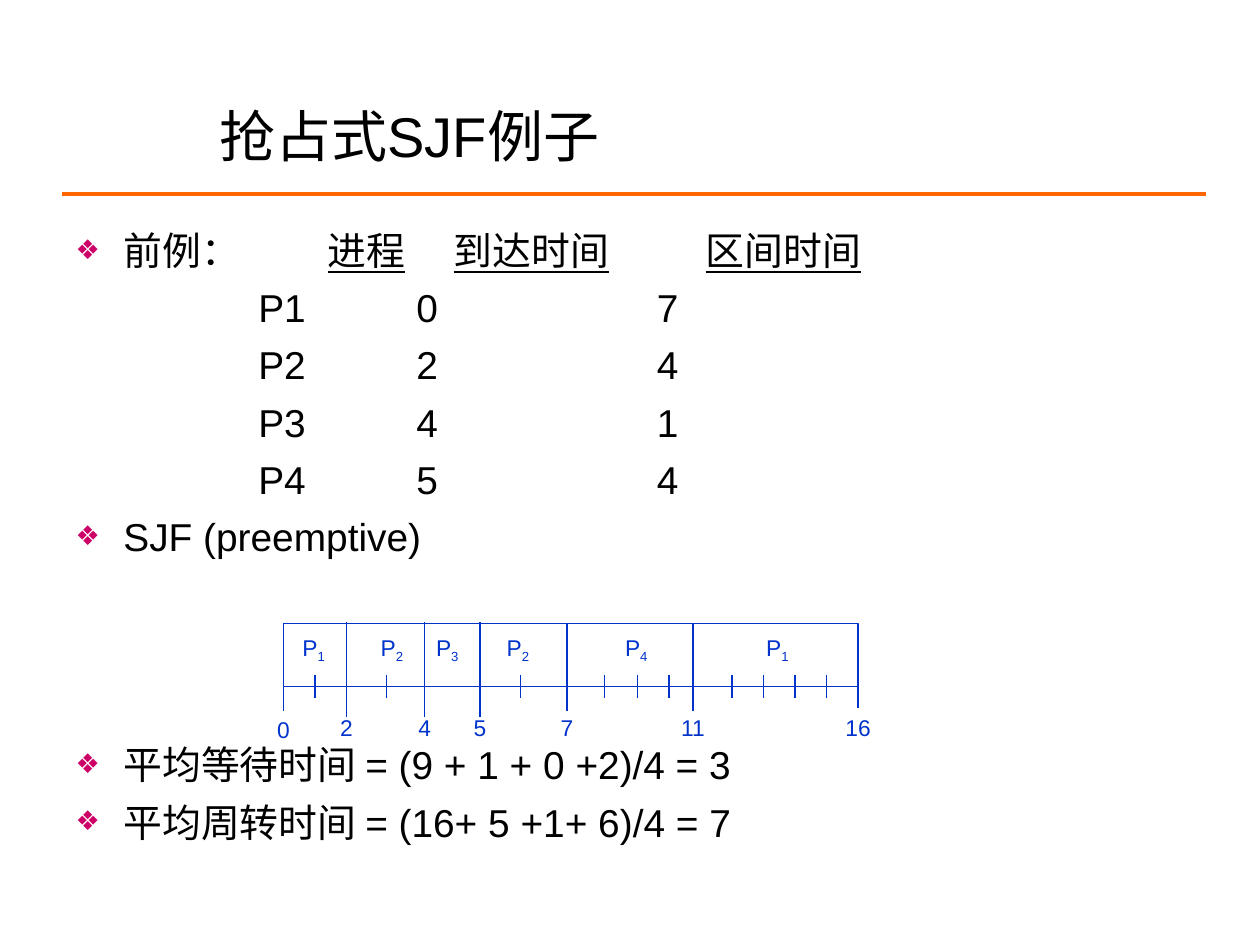
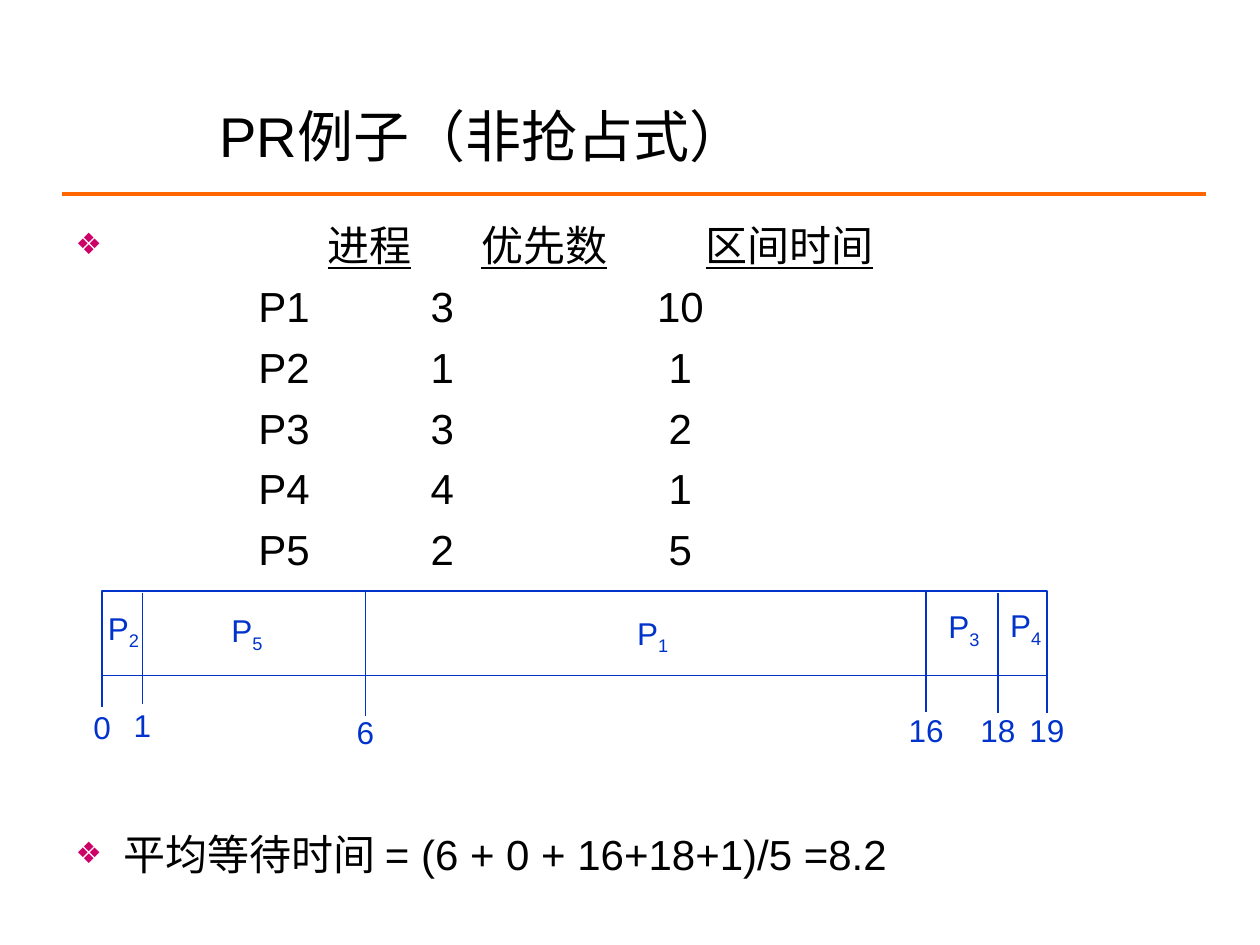
from dataclasses import dataclass

from lxml.etree import SubElement
from pptx import Presentation
from pptx.dml.color import RGBColor
from pptx.enum.shapes import MSO_CONNECTOR, MSO_SHAPE
from pptx.enum.text import MSO_ANCHOR, MSO_AUTO_SIZE, PP_ALIGN
from pptx.oxml.ns import qn
from pptx.util import Inches, Pt

FONT = "Arial"
BLACK, WHITE, ORANGE, BLUE, MAGENTA = "000000", "FFFFFF", "FF6600", "0033CC", "CC0066"
DIAMOND, BLANK = "❖", " "
HANG = 0.38
LINE_HEIGHT = 1.2
PARAGRAPH_GAP = 6


@dataclass(frozen=True)
class Stop:
    """A tab stop, in inches from the left edge of the text."""
    at: float
    align: str = "l"


@dataclass(frozen=True)
class Item:
    """A bulleted line that follows a number of free lines."""
    text: str
    free_lines: int = 0


@dataclass(frozen=True)
class ProcessList:
    """The processes with their heading, and the items below."""
    top: float
    height: float
    size: float
    lead: str
    headings: tuple[str, ...]
    heading_stops: tuple[Stop, ...]
    rows: tuple[tuple[str, ...], ...]
    row_stops: tuple[Stop, ...]
    items: tuple[Item, ...]


@dataclass(frozen=True)
class Instant:
    """A time at which the running process changes."""
    time: int
    x: float
    top: float
    bottom: float
    label_y: float
    split: bool = False


@dataclass(frozen=True)
class Burst:
    """The label of a process in the Gantt chart, by its centre."""
    process: int
    x: float
    y: float


@dataclass(frozen=True)
class Gantt:
    """A Gantt chart: a bar, its bursts, instants and unit ticks."""
    left: float
    top: float
    width: float
    height: float
    size: float
    bursts: tuple[Burst, ...]
    instants: tuple[Instant, ...]
    ticks: tuple[float, ...] = ()


@dataclass(frozen=True)
class Example:
    """The content of one slide."""
    title: str
    processes: ProcessList
    gantt: Gantt


EXAMPLES = (
    Example(
        "抢占式SJF例子",
        ProcessList(
            1.75, 4.95, 22.2, "前例：",
            ("进程", "到达时间", "区间时间"),
            (Stop(2), Stop(3), Stop(5)),
            (("P1", "0", "7"), ("P2", "2", "4"), ("P3", "4", "1"), ("P4", "5", "4")),
            (Stop(1.45), Stop(2.79, "ctr"), Stop(4.7, "ctr")),
            (
                Item("SJF (preemptive)"),
                Item("平均等待时间 = (9 + 1 + 0 +2)/4 = 3", free_lines=3),
                Item("平均周转时间 = (16+ 5 +1+ 6)/4 = 7"),
            ),
        ),
        Gantt(
            2.25, 4.95, 4.56, 0.5, 13,
            tuple(
                Burst(process, x, 5.15)
                for process, x in ((1, 2.49), (2, 3.11), (3, 3.55), (2, 4.11), (4, 5.05), (1, 6.17))
            ),
            (
                Instant(0, 2.25, 5.45, 5.64, 5.79),
                Instant(2, 2.75, 4.94, 5.69, 5.77),
                Instant(4, 3.37, 4.94, 5.69, 5.77),
                Instant(5, 3.81, 4.94, 5.69, 5.77),
                Instant(7, 4.5, 4.95, 5.64, 5.77, split=True),
                Instant(11, 5.5, 4.95, 5.64, 5.77, split=True),
                Instant(16, 6.81, 5.44, 5.62, 5.77),
            ),
            (2.5, 3.07, 4.13, 4.8, 5.06, 5.31, 5.81, 6.06, 6.31, 6.56),
        ),
    ),
    Example(
        "PR例子（非抢占式）",
        ProcessList(
            1.69, 5.46, 24, "",
            ("进程", "优先数", "区间时间"),
            (Stop(2), Stop(3.22), Stop(5)),
            (
                ("P1", "3", "10"), ("P2", "1", "1"), ("P3", "3", "2"),
                ("P4", "4", "1"), ("P5", "2", "5"),
            ),
            (Stop(1.45), Stop(2.91, "ctr"), Stop(4.8, "ctr")),
            (Item("平均等待时间 = (6 + 0 + 16+18+1)/5 =8.2", free_lines=4),),
        ),
        Gantt(
            0.81, 4.69, 7.5, 0.67, 18,
            (
                Burst(2, 0.98, 5), Burst(5, 1.96, 5.02), Burst(1, 5.18, 5.04),
                Burst(3, 7.65, 4.99), Burst(4, 8.14, 4.98),
            ),
            (
                Instant(0, 0.81, 5.36, 5.61, 5.77),
                Instant(1, 1.13, 4.71, 5.59, 5.75),
                Instant(6, 2.9, 4.68, 5.68, 5.81),
                Instant(16, 7.35, 4.69, 5.65, 5.79),
                Instant(18, 7.92, 4.71, 5.66, 5.79),
                Instant(19, 8.31, 4.71, 5.66, 5.79),
            ),
        ),
    ),
)


def rgb(value: str) -> RGBColor:
    """Turn a hex string into a colour."""
    return RGBColor.from_string(value)


def write(paragraph, text: str, *, size: float, color: str = BLACK,
          underline: bool = False, subscript: bool = False) -> None:
    """Add one formatted run to a paragraph."""
    run = paragraph.add_run()
    run.text = text
    run.font.name = FONT
    run.font.size = Pt(size)
    run.font.color.rgb = rgb(color)
    run.font.underline = underline
    if subscript:
        run.font._element.set("baseline", "-25000")


def place(shape, left: float, top: float, width: float, height: float) -> None:
    """Move and size a shape, in inches."""
    shape.left, shape.top = Inches(left), Inches(top)
    shape.width, shape.height = Inches(width), Inches(height)


def format_paragraph(paragraph, *, bullet: str = DIAMOND, space_before: float = PARAGRAPH_GAP,
                     stops: tuple[Stop, ...] = ()) -> None:
    """Set the spacing, hanging bullet and tab stops of a paragraph."""
    paragraph.line_spacing = 1.0
    paragraph.space_before = Pt(space_before)
    properties = paragraph._p.get_or_add_pPr()
    properties.set("marL", str(Inches(HANG)))
    properties.set("indent", str(-Inches(HANG)))
    bullet_color = SubElement(properties, qn("a:buClr"))
    SubElement(bullet_color, qn("a:srgbClr"), val=MAGENTA)
    SubElement(properties, qn("a:buSzPct"), val="70000")
    SubElement(properties, qn("a:buChar"), char=bullet)
    if stops:
        tab_list = SubElement(properties, qn("a:tabLst"))
        for stop in stops:
            SubElement(tab_list, qn("a:tab"), pos=str(Inches(stop.at)), algn=stop.align)


def add_line(slide, start: tuple[float, float], end: tuple[float, float],
             color: str = BLUE, width: float = 0.75) -> None:
    """Draw a straight line between two points."""
    line = slide.shapes.add_connector(
        MSO_CONNECTOR.STRAIGHT, *(Inches(value) for value in (*start, *end)))
    line.line.color.rgb = rgb(color)
    line.line.width = Pt(width)
    SubElement(line._element.spPr, qn("a:effectLst"))


def add_label(slide, x: float, y: float, text: str, size: float, index: str = "") -> None:
    """Centre a short label, with an optional index, on a point."""
    width, height = size * 0.035, size * 0.025
    label = slide.shapes.add_textbox(
        Inches(x - width / 2), Inches(y - height / 2), Inches(width), Inches(height))
    frame = label.text_frame
    frame.word_wrap = False
    frame.margin_left = frame.margin_right = Inches(0)
    frame.vertical_anchor = MSO_ANCHOR.MIDDLE
    paragraph = frame.paragraphs[0]
    paragraph.alignment = PP_ALIGN.CENTER
    write(paragraph, text, size=size, color=BLUE)
    if index:
        write(paragraph, index, size=size, color=BLUE, subscript=True)


def add_title(slide, text: str) -> None:
    """Fill the title and draw the rule below it."""
    title = slide.shapes.title
    place(title, 1.64, 0.75, 7.26, 0.64)
    frame = title.text_frame
    frame.auto_size = MSO_AUTO_SIZE.NONE
    frame.vertical_anchor = MSO_ANCHOR.MIDDLE
    frame.paragraphs[0].alignment = PP_ALIGN.LEFT
    write(frame.paragraphs[0], text, size=32)
    add_line(slide, (0.49, 1.54), (9.57, 1.54), ORANGE, 2.25)


def add_processes(slide, processes: ProcessList) -> None:
    """Fill the body with the process list and the items."""
    body = slide.placeholders[1]
    place(body, 0.5, processes.top, 9, processes.height)
    frame = body.text_frame
    frame.auto_size = MSO_AUTO_SIZE.NONE
    size = processes.size
    pitch = size * LINE_HEIGHT + PARAGRAPH_GAP

    heading = frame.paragraphs[0]
    format_paragraph(heading, space_before=0, stops=processes.heading_stops)
    if processes.lead:
        write(heading, processes.lead, size=size)
    for column in processes.headings:
        write(heading, "\t", size=size)
        write(heading, column, size=size, underline=True)

    for row in processes.rows:
        paragraph = frame.add_paragraph()
        format_paragraph(paragraph, bullet=BLANK, stops=processes.row_stops)
        write(paragraph, "".join(f"\t{cell}" for cell in row), size=size)

    for item in processes.items:
        paragraph = frame.add_paragraph()
        format_paragraph(paragraph, space_before=PARAGRAPH_GAP + item.free_lines * pitch)
        write(paragraph, item.text, size=size)


def add_gantt(slide, gantt: Gantt) -> None:
    """Draw a Gantt chart."""
    bar = slide.shapes.add_shape(
        MSO_SHAPE.RECTANGLE, Inches(gantt.left), Inches(gantt.top),
        Inches(gantt.width), Inches(gantt.height))
    bar.shadow.inherit = False
    bar.fill.solid()
    bar.fill.fore_color.rgb = rgb(WHITE)
    bar.line.color.rgb = rgb(BLUE)
    bar.line.width = Pt(0.75)
    axis = gantt.top + gantt.height
    for burst in gantt.bursts:
        add_label(slide, burst.x, burst.y, "P", gantt.size, str(burst.process))
    for instant in gantt.instants:
        ends = (instant.top, axis, instant.bottom) if instant.split else (instant.top, instant.bottom)
        for start, end in zip(ends, ends[1:]):
            add_line(slide, (instant.x, start), (instant.x, end))
        add_label(slide, instant.x, instant.label_y, str(instant.time), gantt.size)
    for x in gantt.ticks:
        add_line(slide, (x, axis - 0.09), (x, axis + 0.09))


def main() -> None:
    """Build the slides and save them."""
    deck = Presentation()
    deck.slide_width, deck.slide_height = Inches(10), Inches(7.5)
    for example in EXAMPLES:
        slide = deck.slides.add_slide(deck.slide_layouts[1])
        add_title(slide, example.title)
        add_processes(slide, example.processes)
        add_gantt(slide, example.gantt)
    deck.save("out.pptx")


if __name__ == "__main__":
    main()
